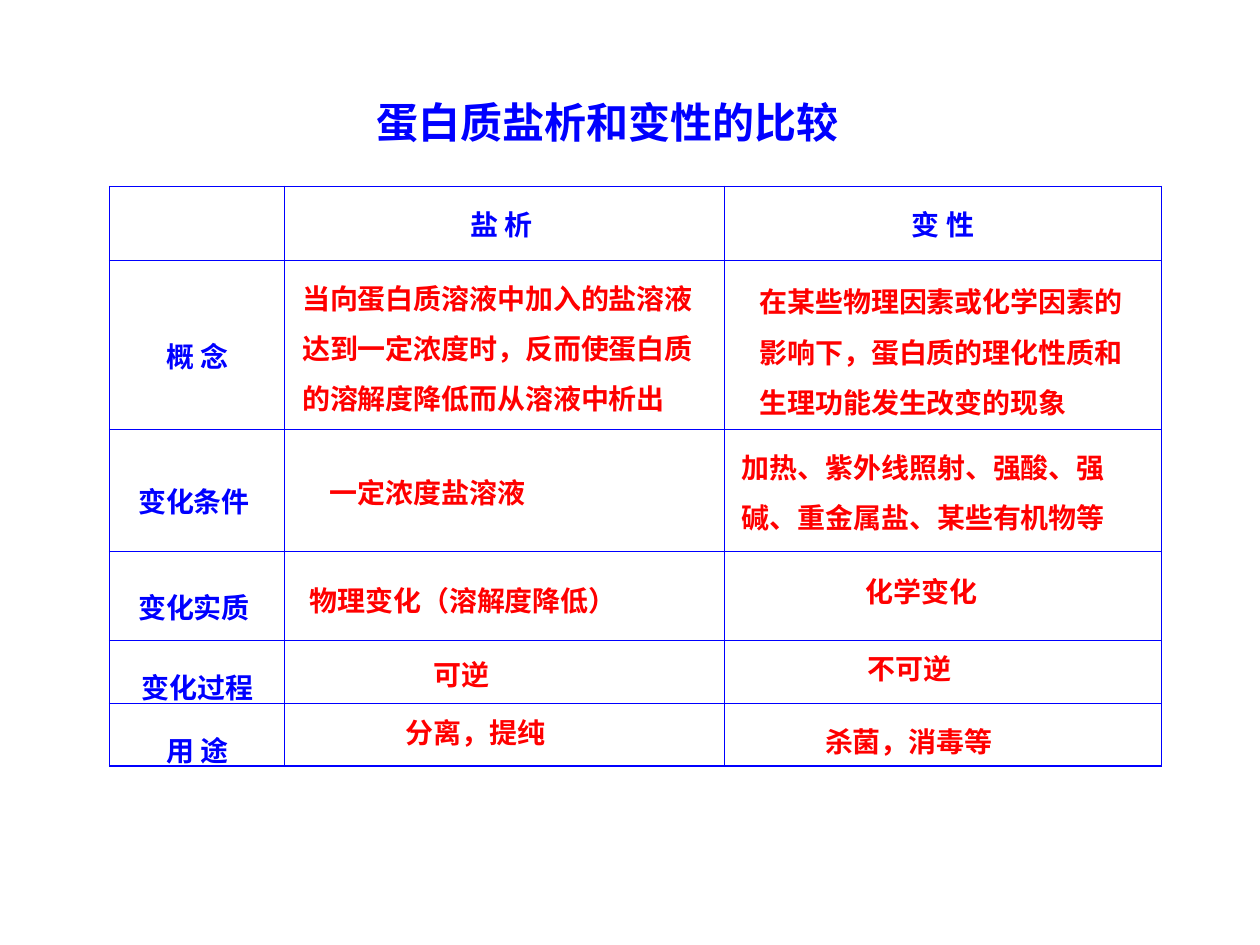
import pptx
import pptx.util
import pptx.dml.color
import pptx.enum.text
import pptx.oxml
import pptx.oxml.ns
from pptx.util import Inches

THEME = {
    "font": "Noto Sans CJK SC", "latin": "Arial",
    "label": "0000FF", "answer": "FF0000", "border": "0000FF",
    "title_size": 24, "body_size": 16,
    "inner_line": 0.45, "outer_line": 1.08,
}

TITLE = ("蛋白质盐析和变性的比较", (2.89, 0.72, 4.27, 0.5))
HEADERS = ["", "盐 析 ", "变 性"]
ROW_LABELS = ["概 念", "变化条件 ", "变化实质 ", "变化过程", "用 途"]
TABLE_ORIGIN = (0.87, 1.48)
COL_WIDTHS = [1.39, 3.49, 3.47]
ROW_HEIGHTS = [0.59, 1.34, 0.97, 0.7, 0.5, 0.5]

ANSWERS = [
    (["在某些物理因素或化学因素的影响下，蛋白质的理化性质和生理功能发生改变的现象"], (5.93, 2.08, 3.19, 1.3), 1.5),
    (["加热、紫外线照射、强酸、强", "碱、重金属盐、某些有机物等"], (5.79, 3.39, 4.21, 0.9), 1.5),
    (["一定浓度盐溶液"], (2.52, 3.59, 2.48, 0.5), 1.5),
    (["当向蛋白质溶液中加入的盐溶液达到一定浓度时，反而使蛋白质的溶解度降低而从溶液中析出"], (2.3, 2.05, 3.46, 1.3), 1.5),
    (["化学变化"], (6.77, 4.51, 1.94, 0.37), None),
    (["物理变化（溶解度降低）"], (2.36, 4.45, 2.81, 0.5), 1.5),
    (["可逆"], (3.34, 5.17, 1.66, 0.37), None),
    (["不可逆"], (6.79, 5.12, 1.66, 0.37), None),
    (["分离，提纯"], (3.12, 5.63, 1.99, 0.37), None),
    (["杀菌，消毒等"], (6.45, 5.7, 2.66, 0.37), None),
]


def write_text(tf, lines, size=THEME["body_size"], color=THEME["answer"],
               font=THEME["font"], align=None, spacing=None):
    tf.word_wrap = True
    for i, line in enumerate(lines):
        p = tf.paragraphs[0] if i == 0 else tf.add_paragraph()
        p.alignment = align
        p.line_spacing = spacing
        r = p.add_run()
        r.text = line
        r.font.size = pptx.util.Pt(size)
        r.font.bold = True
        r.font.color.rgb = pptx.dml.color.RGBColor.from_string(color)
        r.font.name = font
        ea = pptx.oxml.parse_xml(
            f'<a:ea {pptx.oxml.ns.nsdecls("a")} typeface="{THEME["font"]}"/>')
        r.font._element.append(ea)


def add_text(s, lines, box, **fmt):
    sp = s.shapes.add_textbox(*map(Inches, box))
    write_text(sp.text_frame, lines, **fmt)


def set_borders(cell, row, col):
    outer = {
        "lnL": col == 0, "lnR": col == len(COL_WIDTHS) - 1,
        "lnT": row == 0, "lnB": row == len(ROW_HEIGHTS) - 1,
    }
    tc_pr = cell._tc.get_or_add_tcPr()
    for i, (side, is_outer) in enumerate(outer.items()):
        width = pptx.util.Pt(THEME["outer_line" if is_outer else "inner_line"])
        tc_pr.insert(i, pptx.oxml.parse_xml(
            f'<a:{side} {pptx.oxml.ns.nsdecls("a")} w="{width}"><a:solidFill>'
            f'<a:srgbClr val="{THEME["border"]}"/></a:solidFill></a:{side}>'))


def add_comparison_table(s):
    box = (*TABLE_ORIGIN, sum(COL_WIDTHS), sum(ROW_HEIGHTS))
    table = s.shapes.add_table(
        len(ROW_HEIGHTS), len(COL_WIDTHS), *map(Inches, box)).table
    table.first_row = table.horz_banding = False
    for column, width in zip(table.columns, COL_WIDTHS):
        column.width = Inches(width)
    rows = [HEADERS] + [[label, "", ""] for label in ROW_LABELS]
    for i, texts in enumerate(rows):
        table.rows[i].height = Inches(ROW_HEIGHTS[i])
        for j, text in enumerate(texts):
            cell = table.cell(i, j)
            cell.fill.background()
            cell.vertical_anchor = pptx.enum.text.MSO_ANCHOR.MIDDLE
            set_borders(cell, i, j)
            if text:
                write_text(cell.text_frame, [text], color=THEME["label"],
                           font=THEME["latin" if text.startswith("变化条件") else "font"],
                           align=pptx.enum.text.PP_ALIGN.CENTER,
                           spacing=1.5 if i else None)


def main():
    prs = pptx.Presentation()
    prs.slide_width, prs.slide_height = Inches(10), Inches(7.5)
    s = prs.slides.add_slide(prs.slide_layouts[6])
    title, box = TITLE
    add_text(s, [title], box, size=THEME["title_size"], color=THEME["label"])
    add_comparison_table(s)
    for lines, box, spacing in ANSWERS:
        add_text(s, lines, box, spacing=spacing)
    prs.save("out.pptx")


if __name__ == "__main__":
    main()
